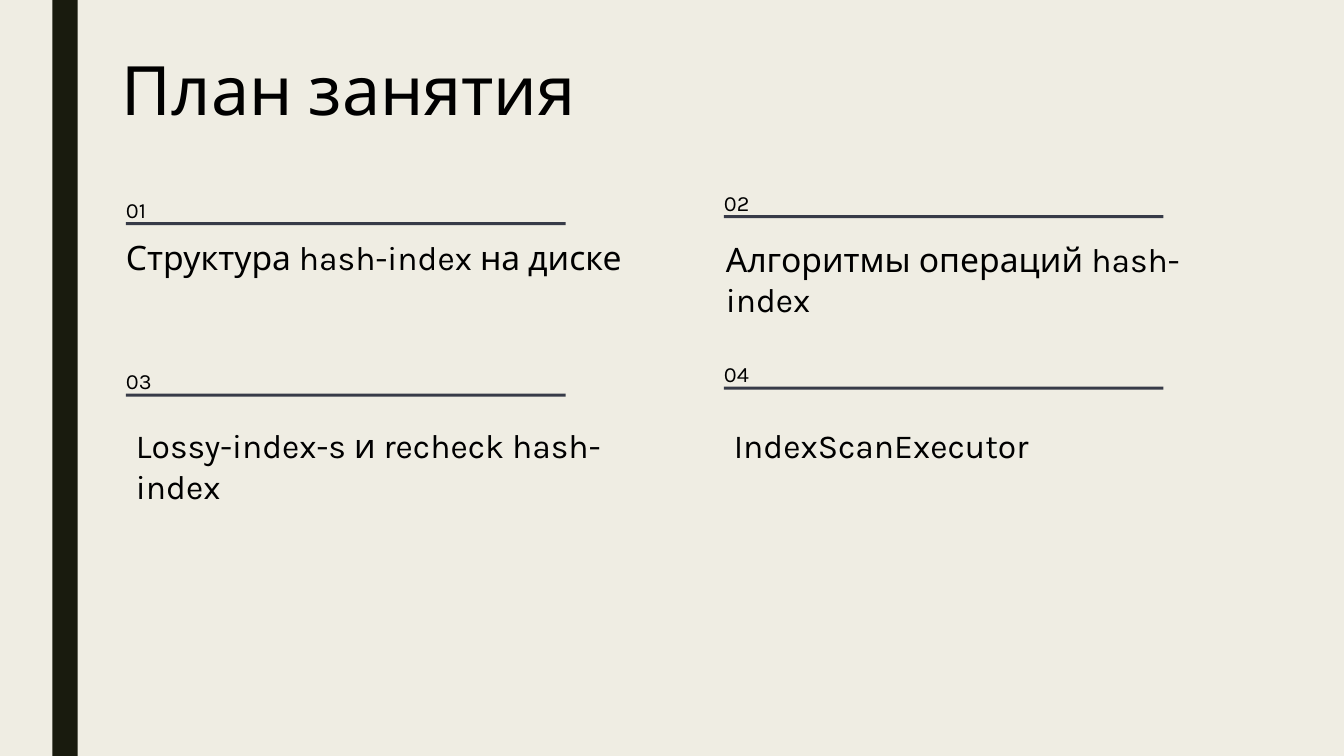
"""Build the lesson plan slide: a title and four numbered topics."""
from pptx import Presentation
from pptx.dml.color import RGBColor
from pptx.enum.shapes import MSO_SHAPE
from pptx.enum.text import MSO_ANCHOR, MSO_AUTO_SIZE, PP_ALIGN
from pptx.util import Inches, Pt

TITLE = "План занятия"
TOPICS = [
    {"text": "Структура hash-index на диске", "at": (1.25, 2.35, 4.36, 0.79), "inset": False},
    {"text": "Алгоритмы операций hash-index", "at": (7.1, 2.32, 4.89, 0.5), "inset": True},
    {"text": "Lossy-index-s и recheck hash-index", "at": (1.25, 4.17, 5.19, 0.5), "inset": True},
    {"text": "IndexScanExecutor", "at": (7.18, 4.17, 4.54, 0.5), "inset": True},
]
COLUMNS = [(1.25, 1.86), (7.18, 1.79)]
ROW_STEP = 1.7
RULE_DROP = 0.345
FONT = "Karla"
BACKGROUND, BAR, RULE, INK = "EFEDE3", "191B0E", "373B48", "000000"


def colour(value):
    return RGBColor.from_string(value)


def write(box, text, size, spacing=None, inset=True, wrap=True,
          anchor=MSO_ANCHOR.TOP, fit=MSO_AUTO_SIZE.NONE):
    frame = box.text_frame
    frame.auto_size = fit
    frame.word_wrap = wrap
    frame.vertical_anchor = anchor
    if not inset:
        frame.margin_left = frame.margin_right = 0
        frame.margin_top = frame.margin_bottom = 0
    para = frame.paragraphs[0]
    para.alignment = PP_ALIGN.LEFT
    if spacing:
        para.line_spacing = spacing
    span = para.add_run()
    span.text = text
    span.font.name = FONT
    span.font.size = Pt(size)
    span.font.color.rgb = colour(INK)


def add_text(page, at, text, size, **style):
    box = page.shapes.add_textbox(*map(Inches, at))
    write(box, text, size, **style)


def add_bar(page, at, fill):
    bar = page.shapes.add_shape(MSO_SHAPE.RECTANGLE, *map(Inches, at))
    bar.shadow.inherit = False
    bar.fill.solid()
    bar.fill.fore_color.rgb = colour(fill)
    bar.line.fill.background()


def add_topic(page, index, topic):
    row, column = divmod(index, len(COLUMNS))
    left, first_top = COLUMNS[column]
    top = first_top + row * ROW_STEP
    add_text(page, (left, top, 0.13, 0.27), f"{index + 1:02}", 15.5,
             spacing=Pt(25), inset=False, wrap=False)
    add_bar(page, (left, top + RULE_DROP, 4.36, 0.03), RULE)
    fit = MSO_AUTO_SIZE.SHAPE_TO_FIT_TEXT if topic["inset"] else MSO_AUTO_SIZE.NONE
    add_text(page, topic["at"], topic["text"], 24,
             inset=topic["inset"], wrap=topic["inset"], fit=fit)


def main():
    deck = Presentation()
    deck.slide_width, deck.slide_height = Inches(13.33), Inches(7.5)
    page = deck.slides.add_slide(deck.slide_layouts[5])
    page.background.fill.solid()
    page.background.fill.fore_color.rgb = colour(BACKGROUND)
    add_bar(page, (0.52, 0, 0.25, 7.5), BAR)
    title = page.shapes.title
    title.left, title.top, title.width, title.height = map(Inches, (1.11, 0.51, 4.72, 0.84))
    write(title, TITLE, 48.6, spacing=0.89, anchor=MSO_ANCHOR.MIDDLE)
    for index, topic in enumerate(TOPICS):
        add_topic(page, index, topic)
    deck.save("out.pptx")


if __name__ == "__main__":
    main()
